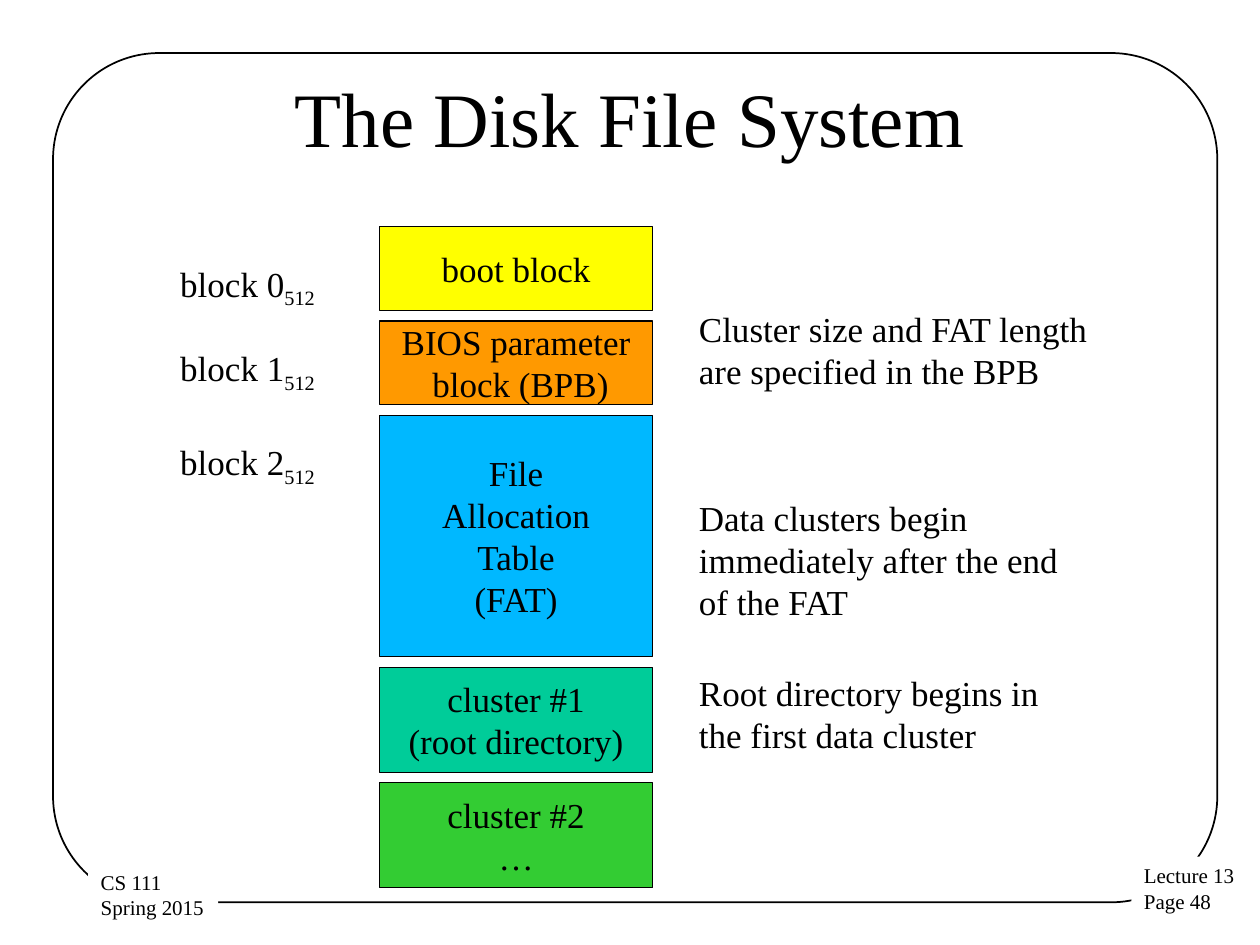
from dataclasses import dataclass

from pptx import Presentation
from pptx import util as u
from pptx.dml.color import RGBColor
from pptx.enum import shapes, text


@dataclass(frozen=True)
class Theme:
    font: str = "Times New Roman"
    ink: str = "000000"
    paper: str = "FFFFFF"
    title_size: int = 44
    body_size: int = 20
    footer_size: int = 12


THEME = Theme()
LEFT, CENTER, RIGHT = text.PP_ALIGN.LEFT, text.PP_ALIGN.CENTER, text.PP_ALIGN.RIGHT

# Content; all lengths are in centimetres
TITLE = "The Disk File System"

# Disk regions from top to bottom: lines, fill, height
REGIONS = [
    (["boot block"], "FFFF00", 1.69),
    (["BIOS parameter", " block (BPB)"], "FF9900", 1.69),
    (["File", "Allocation\vTable", "(FAT)"], "00B8FF", 4.87),
    (["cluster #1", "(root directory)"], "00CC99", 2.12),
    (["cluster #2", "…"], "33CC33", 2.12),
]
STACK_LEFT, STACK_TOP, STACK_WIDTH, STACK_GAP = 7.65, 4.57, 5.51, 0.21

# Block numbers: name, subscript, top
BLOCKS = [("block 0", "512", 5.16), ("block 1", "512", 6.86), ("block 2", "512", 8.75)]

# Remarks: words, top, width, height
REMARKS = [
    ("Cluster size and FAT length are specified in the BPB", 6.07, 9.27, 1.96),
    ("Data clusters begin immediately after the end of the FAT", 9.88, 8.26, 2.82),
    ("Root directory begins in the first data cluster", 13.41, 8.26, 1.96),
]

# Footers: lines, (left, top, width, height)
FOOTERS = [
    (["Lecture 13", "Page 48"], (22.81, 17.27, 2.36, 1.3)),
    (["CS 111", "Spring 2015"], (1.78, 17.4, 2.62, 1.3)),
]


def write(box, lines, size, align=LEFT, anchor=text.MSO_ANCHOR.TOP, wrap=True):
    frame = box.text_frame
    frame.word_wrap = wrap
    frame.vertical_anchor = anchor
    for index, line in enumerate(lines):
        para = frame.add_paragraph() if index else frame.paragraphs[0]
        para.text = line
        para.alignment = align
        para.font.name = THEME.font
        para.font.size = u.Pt(size)
        para.font.color.rgb = RGBColor.from_string(THEME.ink)
    return frame


def add_text(page, area, line, size, align=LEFT, anchor=text.MSO_ANCHOR.TOP):
    box = page.shapes.add_textbox(*map(u.Cm, area))
    return write(box, [line], size, align, anchor)


def add_box(page, area, fill=None, line_width=None, kind=shapes.MSO_SHAPE.RECTANGLE):
    box = page.shapes.add_shape(kind, *map(u.Cm, area))
    box.shadow.inherit = False
    if fill:
        box.fill.solid()
        box.fill.fore_color.rgb = RGBColor.from_string(fill)
    else:
        box.fill.background()
    if line_width:
        box.line.color.rgb = RGBColor.from_string(THEME.ink)
        box.line.width = u.Pt(line_width)
    else:
        box.line.fill.background()
    return box


def main():
    deck = Presentation()
    deck.slide_width, deck.slide_height = u.Cm(25.4), u.Cm(19.05)
    page = deck.slides.add_slide(deck.slide_layouts[6])

    # Rounded frame, interrupted by the footers
    border = add_box(page, (1.07, 1.07, 23.47, 17.12), line_width=1,
                     kind=shapes.MSO_SHAPE.ROUNDED_RECTANGLE)
    border.adjustments[0] = 0.125
    for lines, area in FOOTERS:
        write(add_box(page, area, THEME.paper), lines, THEME.footer_size, wrap=False)

    # Title
    add_text(page, (1.27, 0.76, 22.86, 3.18), TITLE, THEME.title_size,
             CENTER, text.MSO_ANCHOR.MIDDLE)

    # Stack of disk regions
    top = STACK_TOP
    for lines, fill, height in REGIONS:
        box = add_box(page, (STACK_LEFT, top, STACK_WIDTH, height), fill, 0.75)
        write(box, lines, THEME.body_size, CENTER, text.MSO_ANCHOR.MIDDLE, wrap=False)
        top += height + STACK_GAP

    # Block numbers on the left
    for name, subscript, top in BLOCKS:
        frame = add_text(page, (1.52, top, 5.08, 1.1), name, THEME.body_size, RIGHT)
        span = frame.paragraphs[0].add_run()
        span.text = subscript
        span._r.get_or_add_rPr().set("baseline", "-25000")

    # Remarks on the right
    for words, top, width, height in REMARKS:
        add_text(page, (13.84, top, width, height), words, THEME.body_size)

    deck.save("out.pptx")


if __name__ == "__main__":
    main()
